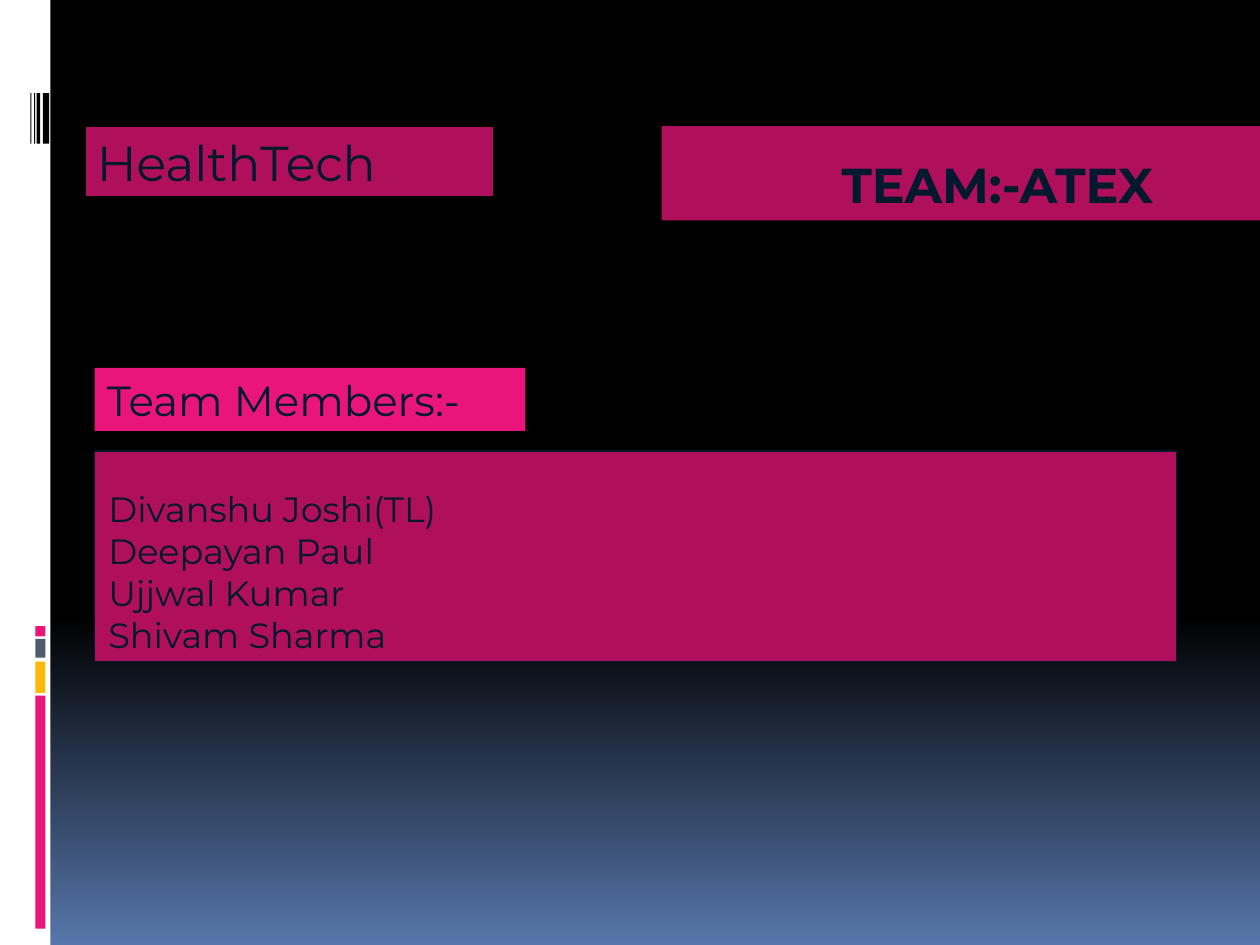
from copy import deepcopy

from pptx import Presentation
from pptx.dml.color import RGBColor
from pptx.enum.shapes import MSO_SHAPE
from pptx.enum.text import MSO_ANCHOR, PP_ALIGN
from pptx.oxml.ns import qn
from pptx.util import Inches, Pt

RECT = MSO_SHAPE.RECTANGLE
TOP, BOTTOM = MSO_ANCHOR.TOP, MSO_ANCHOR.BOTTOM
LEFT = PP_ALIGN.LEFT

COLORS = {
    "white": "FFFFFF", "black": "000000", "sky": "5676AA", "navy": "00192E",
    "pink": "EA157A", "plum": "AF0F5B", "amber": "FEB80A", "slate": "4E5B6F",
}
FONT = "Montserrat"

# Content: left, top, width, height, then fill, text and format
BANNERS = [
    {"at": (5.25, 1, 4.75, 0.75), "fill": "plum", "lines": ["TEAM:-ATEX"],
     "font": {"size": Pt(28), "bold": True},
     "frame": {"margin_left": Inches(1.43), "margin_top": Inches(0.23)}},
    {"at": (0.75, 3.58, 8.59, 1.67), "fill": "plum", "line": ("navy", 0.75),
     "lines": ["Divanshu Joshi(TL)", "Deepayan Paul", "Ujjwal Kumar", "Shivam Sharma"],
     "font": {"size": Pt(20)},
     "frame": {"margin_left": Inches(0.11), "vertical_anchor": BOTTOM}},
    {"at": (0.67, 1, 3.25, 0.57), "fill": "plum", "line": ("black", 1.5),
     "lines": ["HealthTech"], "font": {"size": Pt(28)}},
    {"at": (0.75, 2.92, 3.42, 0.5), "fill": "pink",
     "lines": ["Team Members:-"], "font": {"size": Pt(24)}},
]
BARCODE = [(0.34, 0.05), (0.29, 0.03), (0.27, 0.01), (0.24, 0.01)]  # left, width
BLOCKS = [("pink", 4.97, 0.08), ("slate", 5.07, 0.15),
          ("amber", 5.25, 0.25), ("pink", 5.52, 1.85)]  # fill, top, height


def rgb(name):
    return RGBColor.from_string(COLORS[name])


def set_all(obj, values):
    for name, value in values.items():
        setattr(obj, name, value)


def add_rect(s, at, fill, line=None):
    sp = s.shapes.add_shape(RECT, *map(Inches, at))
    sp.shadow.inherit = False
    sp.fill.solid()
    sp.fill.fore_color.rgb = rgb(fill)
    if line:
        sp.line.color.rgb = rgb(line[0])
        sp.line.width = Pt(line[1])
    else:
        sp.line.fill.background()
    return sp


def add_banner(s, banner):
    sp = add_rect(s, banner["at"], banner["fill"], banner.get("line"))
    tf = sp.text_frame
    set_all(tf, {"word_wrap": True, "vertical_anchor": TOP, **banner.get("frame", {})})
    for i, line in enumerate(banner["lines"]):
        p = tf.paragraphs[0] if i == 0 else tf.add_paragraph()
        p.alignment = LEFT
        r = p.add_run()
        r.text = line
        set_all(r.font, {"name": FONT, **banner["font"]})
        r.font.color.rgb = rgb("navy")


prs = Presentation()
prs.slide_width, prs.slide_height = Inches(10), Inches(7.5)
s = prs.slides.add_slide(prs.slide_layouts[6])

# Background: black down to 65 %, then fading to blue
fill = s.background.fill
fill.gradient()
fill.gradient_angle = 270
first, last = fill.gradient_stops
first.position, last.position = 0, 1
first.color.rgb, last.color.rgb = rgb("black"), rgb("sky")
stops = next(s.element.iter(qn("a:gsLst")))
middle = deepcopy(stops[0])
middle.set("pos", "65000")
stops.insert(1, middle)

# Side strip with barcode and colour blocks
add_rect(s, (0, 0, 0.4, 7.5), "white")
for left, width in BARCODE:
    add_rect(s, (left, 0.74, width, 0.4), "black")
for color, top, height in BLOCKS:
    add_rect(s, (0.28, top, 0.08, height), color)

# Text banners
for banner in BANNERS:
    add_banner(s, banner)

prs.save("out.pptx")
